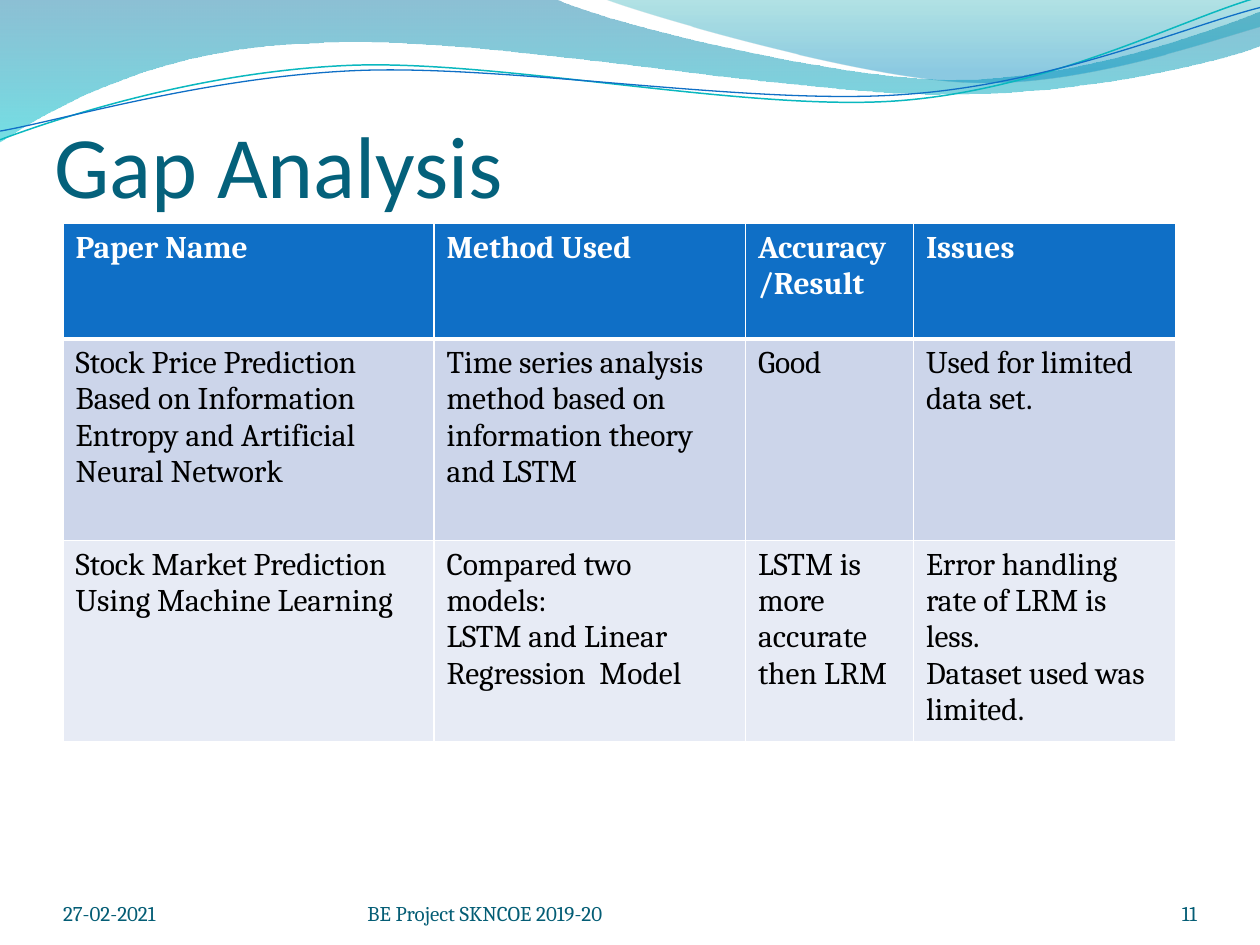
from lxml.etree import SubElement
from pptx import Presentation
from pptx.dml.color import RGBColor as Rgb
from pptx.enum.text import MSO_ANCHOR as Anchor, MSO_AUTO_SIZE as Fit, PP_ALIGN as Align
from pptx.oxml.ns import qn
from pptx.util import Pt

WHITE = Rgb(0xFF, 0xFF, 0xFF)
BLACK = Rgb(0, 0, 0)
TEAL = Rgb(0x04, 0x61, 0x7B)
SLATE = Rgb(0x04, 0x5D, 0x75)
BLUE = Rgb(0x0F, 0x6F, 0xC6)
AQUA = Rgb(0x0A, 0xB8, 0xBF)
PALE = Rgb(0xCC, 0xD5, 0xEA)
MIST = Rgb(0xE7, 0xEB, 0xF5)
STEEL = Rgb(0x00, 0x74, 0xA1)
CYAN = Rgb(0x00, 0xC6, 0xCF)
SEA = Rgb(0x00, 0xA1, 0xA9)
SKY = Rgb(0x00, 0x8B, 0xBF)

SWOOSHES = [
    ([(0, 0), (317, -0.7), (343, 12.2, 478, 45.4, 546, 45.4),
      (614, 45.4, 690, 18.7, 720, 6.5), (720.7, 25.9),
      (708, 31.7, 626, 54.7, 537, 54), (448, 54, 275, 20.2, 185, 24.5),
      (93, 25.9, 33, 59.8, -0.7, 81.4), (0, 0)],
     [(0, STEEL, 45), (1, CYAN, 55)]),
    ([(345, -0.7), (366.5, 7.9, 491, 44.6, 553.7, 46.8),
      (616.3, 49.7, 692, 23, 720, 15.1), (720, 0), (345, -0.7)],
     [(0, SEA, 30), (0.8, SKY, 45)]),
]
STRANDS = [
    ([(0, 79.9), (34.6, 67, 113.8, 41, 199.4, 37.4),
      (284.4, 33.8, 427, 64.1, 513.4, 57.6), (599.8, 51.1, 675.4, 10.8, 718.6, -1.4)],
     AQUA, 0.85),
    ([(0, 74.9), (33.8, 69.1, 118.1, 43.9, 203.8, 40.3),
      (290.2, 36.7, 429.8, 60.5, 516.2, 54), (601.9, 48.2, 677.5, 15.1, 720, 4.3)],
     BLUE, 0.75),
]
WIDTHS = [212, 178, 96, 150]
HEIGHTS = [66, 115.2, 115.2]
ROWS = [
    ["Paper Name", "Method Used", "Accuracy/Result", "Issues"],
    ["Stock Price Prediction Based on Information Entropy and Artificial Neural Network",
     "Time series analysis method based on information theory and LSTM",
     "Good", "Used for limited data set."],
    ["Stock Market Prediction Using Machine Learning",
     "Compared two models:\nLSTM and Linear Regression  Model",
     "LSTM is more accurate then LRM",
     "Error handling rate of LRM is less.\nDataset used was limited."],
]
FOOTS = [(0, 168, "27-02-2021", Align.LEFT),
         (174, 264, "BE Project SKNCOE 2019-20", Align.LEFT),
         (588, 60, "11", Align.RIGHT)]


def style(frame, color, align=Align.LEFT, **form):
    """Format every paragraph of a text frame."""
    for para in frame.paragraphs:
        para.alignment = align
        for key, value in form.items():
            setattr(para.font, key, value)
        para.font.color.rgb = color


def draw(slide, path, left, top, close):
    """Add a freeform of lines and cubic curves, offset by left and top."""
    points = [(Pt(left + x), Pt(top + y))
              for part in path for x, y in zip(part[::2], part[1::2])]
    pen = slide.shapes.build_freeform(*points[0])
    pen.add_line_segments(points[1:], close=close)
    shape = pen.convert_to_shape()
    shape.shadow.inherit = False
    lines = iter(list(shape._element.spPr.iter(qn("a:lnTo"))))
    for part in path[1:]:
        line = next(lines)
        if len(part) == 6:
            curve = line.makeelement(qn("a:cubicBezTo"))
            line.addprevious(curve)
            for knot in (line, next(lines), next(lines)):
                curve.append(knot[0])
                knot.getparent().remove(knot)
    return shape


def add_waves(slide, left, top):
    """Draw the tinted swooshes and thin strands along the top."""
    for path, stops in SWOOSHES:
        shape = draw(slide, path, left, top, True)
        shape.line.fill.background()
        shape.fill.gradient()
        shape.fill.gradient_angle = 270
        for stop, (place, color, _) in zip(shape.fill.gradient_stops, stops):
            stop.position = place
            stop.color.rgb = color
        tints = shape._element.spPr.iter(qn("a:srgbClr"))
        for tint, (_, _, alpha) in zip(tints, stops):
            SubElement(tint, qn("a:alpha"), val=str(alpha * 1000))
    for path, color, width in STRANDS:
        shape = draw(slide, path, left, top, False)
        shape.fill.background()
        shape.line.color.rgb = color
        shape.line.width = Pt(width)


def add_title(slide, left, top, width, height):
    """Place and format the slide title."""
    title = slide.shapes.title
    box = {"left": left, "top": top, "width": width, "height": height}
    for key, value in box.items():
        setattr(title, key, Pt(value))
    frame = title.text_frame
    frame.text = "Gap Analysis"
    frame.auto_size = Fit.NONE
    frame.vertical_anchor = Anchor.TOP
    style(frame, TEAL, name="Calibri", size=Pt(50))


def add_edges(cell, base):
    """Rule a cell in white with the given bottom width."""
    props = cell._tc.get_or_add_tcPr()
    for side, width in zip("LRTB", (1, 1, 1, base)):
        edge = SubElement(props, qn(f"a:ln{side}"), w=str(Pt(width)))
        fill = SubElement(edge, qn("a:solidFill"))
        SubElement(fill, qn("a:srgbClr"), val=str(WHITE))


def add_grid(slide, left, top):
    """Build the table of compared papers."""
    table = slide.shapes.add_table(
        len(ROWS), len(WIDTHS), Pt(left), Pt(top),
        Pt(sum(WIDTHS)), Pt(sum(HEIGHTS))).table
    for col, width in zip(table.columns, WIDTHS):
        col.width = Pt(width)
    for r, (texts, height) in enumerate(zip(ROWS, HEIGHTS)):
        table.rows[r].height = Pt(height)
        head = r == 0
        for c, text in enumerate(texts):
            cell = table.cell(r, c)
            cell.text = text
            add_edges(cell, 3 if head else 1)
            cell.fill.solid()
            cell.fill.fore_color.rgb = (BLUE, PALE, MIST)[r]
            style(cell.text_frame, WHITE if head else BLACK,
                  name="Cambria", size=Pt(18), bold=head)


def add_foot(slide, left, top, height):
    """Write the date, project and page number."""
    form = {"margin_left": 0, "margin_right": 0, "margin_top": 0, "margin_bottom": 0,
            "word_wrap": True, "vertical_anchor": Anchor.BOTTOM}
    for shift, width, text, align in FOOTS:
        box = slide.shapes.add_textbox(Pt(left + shift), Pt(top), Pt(width), Pt(height))
        frame = box.text_frame
        frame.text = text
        for key, value in form.items():
            setattr(frame, key, value)
        style(frame, SLATE, align, name="Cambria", size=Pt(12))


def main():
    """Build and save the slide."""
    deck = Presentation()
    deck.slide_width, deck.slide_height = Pt(720), Pt(540)
    slide = deck.slides.add_slide(deck.slide_layouts[5])
    add_waves(slide, 0, 0)
    add_foot(slide, 36, 500.4, 28.8)
    add_title(slide, 24, 60, 360, 67.7)
    add_grid(slide, 36, 127.7)
    deck.save("out.pptx")


if __name__ == "__main__":
    main()
